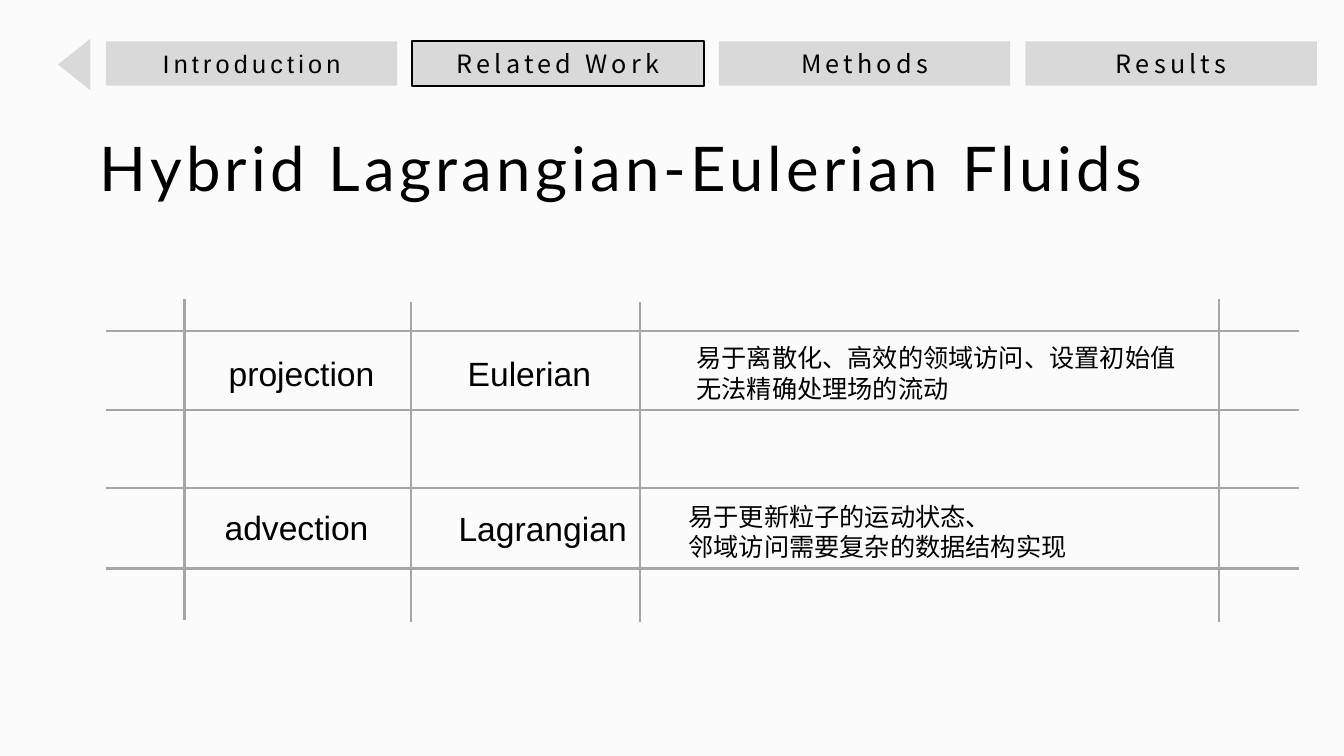
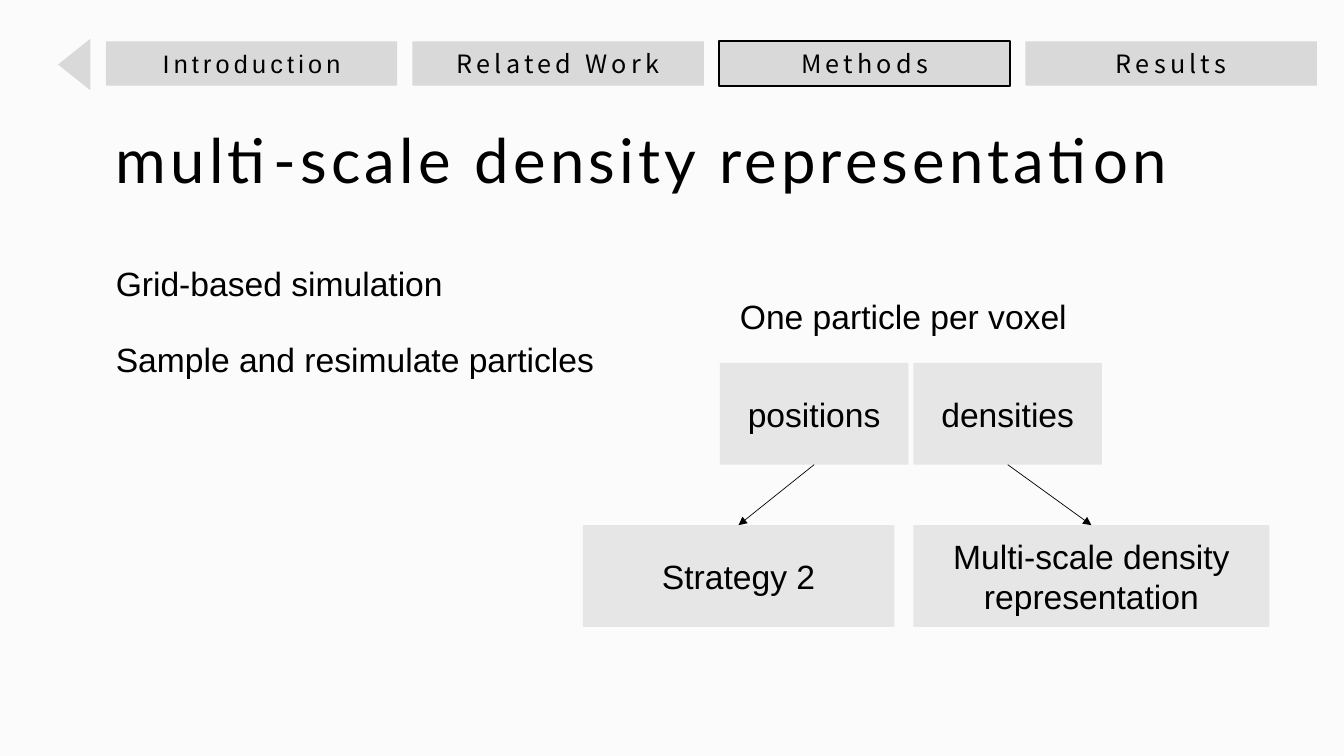
from typing import NamedTuple

from lxml import etree
from pptx import Presentation
from pptx.dml.color import RGBColor
from pptx.enum import shapes, text
from pptx.oxml.ns import qn
from pptx.util import Inches, Pt

PAPER = "FBFBFB"
INK = "000000"
TAB_FILL = "D9D9D9"
NODE_FILL = "E7E6E6"
GRID = "A6A6A6"

LATIN = "Arial"
CHINESE = "Noto Sans CJK SC"
TITLE_FONT = "Lato"

MARGIN = 1.05
TAB_PITCH = 3.04
TAB_TOP, TAB_WIDTH, TAB_HEIGHT = 0.41, 2.89, 0.44
GRID_RIGHT = 12.88


class Style(NamedTuple):
    font: str
    size: float
    spacing: float = 0


class Tab(NamedTuple):
    name: str
    font: str


class Label(NamedTuple):
    left: float
    top: float
    width: float
    lines: list[str]
    style: Style


class Rule(NamedTuple):
    x: float
    top: float
    bottom: float


class Node(NamedTuple):
    left: float
    top: float
    width: float
    lines: list[str]


TITLE = Style(TITLE_FONT, 44, 3)
BODY = Style(LATIN, 24)
NOTE = Style(CHINESE, 18)

TABS = [
    Tab("Introduction", LATIN),
    Tab("Related Work", CHINESE),
    Tab("Methods", CHINESE),
    Tab("Results", CHINESE),
]

GRID_ROWS = [3.28, 4.07, 4.84, 5.64]
GRID_COLUMNS = [
    Rule(1.83, 2.97, 6.15),
    Rule(4.08, 3, 6.17),
    Rule(6.35, 3, 6.17),
    Rule(12.09, 2.97, 6.17),
]
GRID_LABELS = [
    Label(2.17, 3.45, 2.06, ["projection"], BODY),
    Label(4.54, 3.45, 1.81, ["Eulerian"], BODY),
    Label(6.81, 3.35, 6.17,
          ["易于离散化、高效的领域访问、设置初始值", "无法精确处理场的流动"], NOTE),
    Label(2.13, 4.98, 2.06, ["advection"], BODY),
    Label(4.45, 4.99, 2.14, ["Lagrangian"], BODY),
    Label(6.73, 4.92, 6.17,
          ["易于更新粒子的运动状态、", "邻域访问需要复杂的数据结构实现"], NOTE),
]

METHOD_LABELS = [
    Label(MARGIN, 2.56, 4.94, ["Grid-based simulation"], BODY),
    Label(MARGIN, 3.31, 5.69, ["Sample and resimulate particles"], BODY),
    Label(7.24, 2.89, 3.53, ["One particle per voxel"], BODY),
]
NODE_HEIGHT = 1.01
# Each source node points to the node below it.
FLOWS = [
    (Node(7.14, 3.6, 1.87, ["positions"]),
     Node(5.78, 5.21, 3.09, ["Strategy 2"])),
    (Node(9.06, 3.6, 1.87, ["densities"]),
     Node(9.06, 5.21, 3.53, ["Multi-scale density", "representation"])),
]


def colour(value: str) -> RGBColor:
    return RGBColor.from_string(value)


def write(frame, lines: list[str], style: Style, align=text.PP_ALIGN.LEFT) -> None:
    """Fill a text frame with one paragraph per line."""
    frame.word_wrap = True
    for index, line in enumerate(lines):
        para = frame.paragraphs[0] if index == 0 else frame.add_paragraph()
        para.alignment = align
        span = para.add_run()
        span.text = line
        span.font.size = Pt(style.size)
        span.font.name = style.font
        span.font.color.rgb = colour(INK)
        properties = span.font._element
        if style.spacing:
            properties.set("spc", str(int(style.spacing * 100)))
        etree.SubElement(properties, qn("a:ea")).set("typeface", style.font)


def add_label(page, label: Label) -> None:
    height = 0.1 + len(label.lines) * label.style.size / 60
    box = page.shapes.add_textbox(Inches(label.left), Inches(label.top),
                                  Inches(label.width), Inches(height))
    write(box.text_frame, label.lines, label.style)


def add_block(page, kind, left: float, top: float, width: float, height: float,
              fill: str):
    """Add a flat preset shape without an outline."""
    block = page.shapes.add_shape(kind, Inches(left), Inches(top),
                                  Inches(width), Inches(height))
    block.shadow.inherit = False
    block.fill.solid()
    block.fill.fore_color.rgb = colour(fill)
    block.line.fill.background()
    return block


def add_text_block(page, left: float, top: float, width: float, height: float,
                   fill: str, lines: list[str], style: Style):
    block = add_block(page, shapes.MSO_SHAPE.RECTANGLE, left, top, width, height, fill)
    block.text_frame.vertical_anchor = text.MSO_ANCHOR.MIDDLE
    write(block.text_frame, lines, style, text.PP_ALIGN.CENTER)
    return block


def add_line(page, x1: float, y1: float, x2: float, y2: float,
             line_colour: str, width: float):
    line = page.shapes.add_connector(shapes.MSO_CONNECTOR.STRAIGHT, Inches(x1),
                                     Inches(y1), Inches(x2), Inches(y2))
    line.line.color.rgb = colour(line_colour)
    line.line.width = Pt(width)
    etree.SubElement(line._element.spPr, qn("a:effectLst"))
    return line


def add_node(page, node: Node):
    return add_text_block(page, node.left, node.top, node.width, NODE_HEIGHT,
                          NODE_FILL, node.lines, BODY)


def add_arrow(page, source, target) -> None:
    arrow = add_line(page, 0, 0, 1, 1, INK, 0.5)
    arrow.begin_connect(source, 2)
    arrow.end_connect(target, 0)
    head = etree.SubElement(arrow.line._get_or_add_ln(), qn("a:tailEnd"))
    head.set("type", "triangle")


def add_navigation(page, active: str) -> None:
    back = add_block(page, shapes.MSO_SHAPE.ISOSCELES_TRIANGLE,
                     0.48, 0.48, 0.51, 0.32, TAB_FILL)
    back.rotation = 270
    for index, tab in enumerate(TABS):
        block = add_text_block(page, MARGIN + index * TAB_PITCH, TAB_TOP, TAB_WIDTH,
                               TAB_HEIGHT, TAB_FILL, [tab.name], Style(tab.font, 18, 3))
        if tab.name == active:
            block.line.color.rgb = colour(INK)
            block.line.width = Pt(1.5)


def add_page(deck, title: str, left: float, top: float, active: str):
    """Add a slide with its background, navigation and title."""
    page = deck.slides.add_slide(deck.slide_layouts[6])
    page.background.fill.solid()
    page.background.fill.fore_color.rgb = colour(PAPER)
    add_navigation(page, active)
    add_label(page, Label(left, top, 11.2, [title], TITLE))
    return page


def build_related_work(deck) -> None:
    page = add_page(deck, "Hybrid Lagrangian-Eulerian Fluids", 0.89, 1.24, "Related Work")
    for y in GRID_ROWS:
        add_line(page, MARGIN, y, GRID_RIGHT, y, GRID, 1.5)
    for rule in GRID_COLUMNS:
        add_line(page, rule.x, rule.top, rule.x, rule.bottom, GRID, 1.5)
    for label in GRID_LABELS:
        add_label(page, label)


def build_methods(deck) -> None:
    page = add_page(deck, "multi-scale density representation", MARGIN, 1.16, "Methods")
    for label in METHOD_LABELS:
        add_label(page, label)
    for source, target in FLOWS:
        add_arrow(page, add_node(page, source), add_node(page, target))


def main() -> None:
    deck = Presentation()
    deck.slide_width = Inches(13.33)
    deck.slide_height = Inches(7.5)
    build_related_work(deck)
    build_methods(deck)
    deck.save("out.pptx")


if __name__ == "__main__":
    main()
